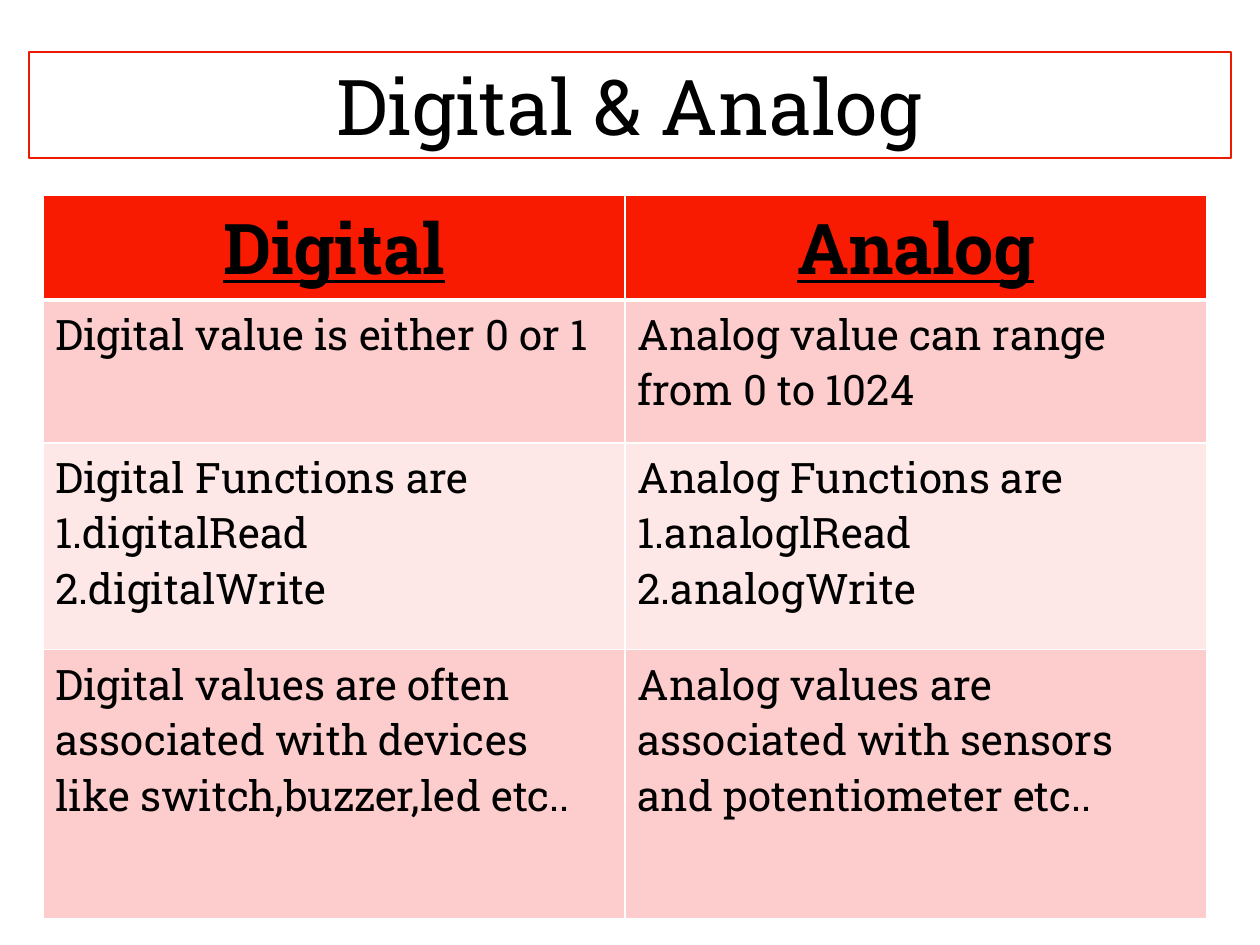
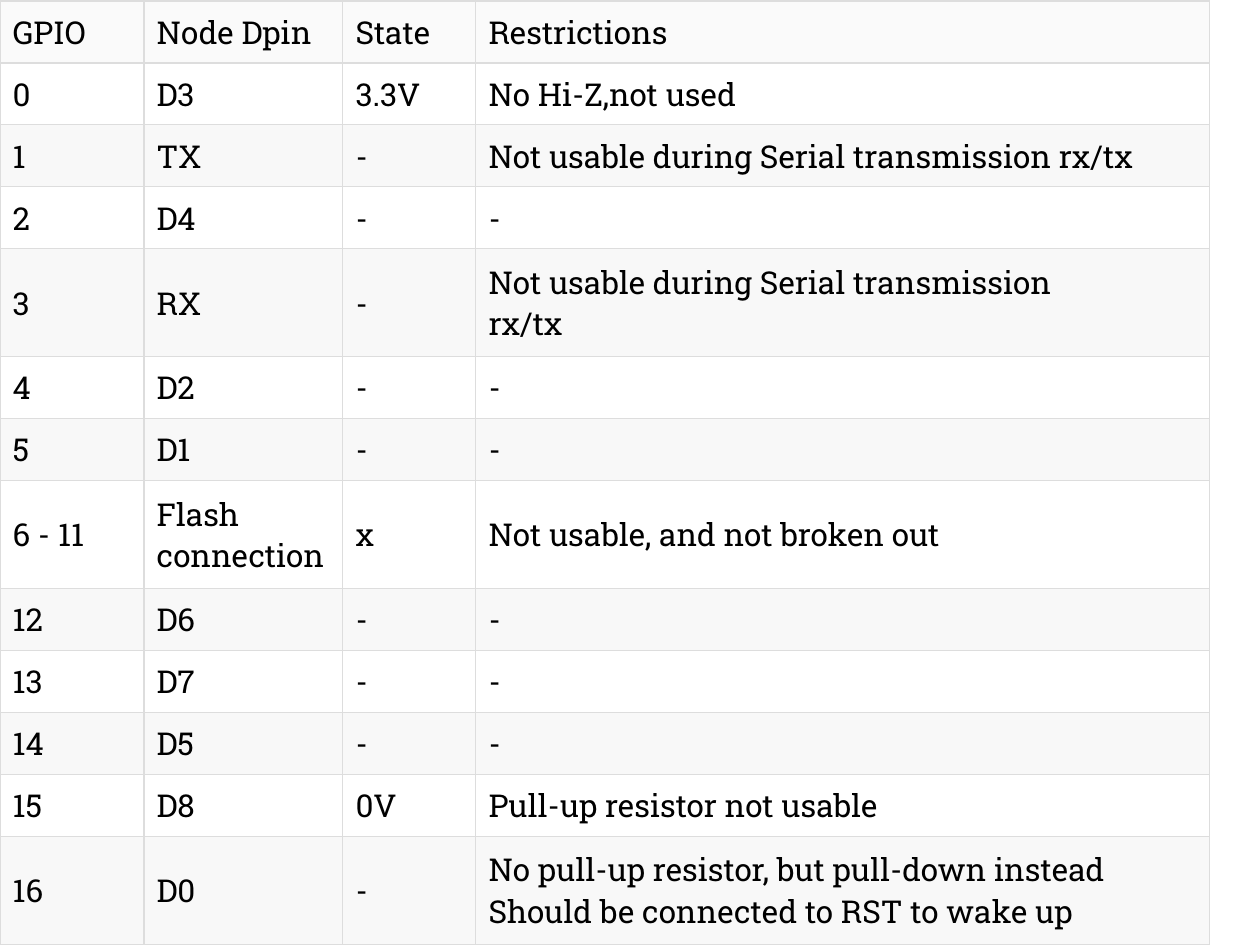
from lxml import etree
from pptx import Presentation
from pptx import util as u
from pptx.dml.color import RGBColor
from pptx.enum import shapes, text
from pptx.oxml import ns

PX = 914400 / 126
FONT = "Roboto Slab"
COLORS = {
    "ink": "000000", "paper": "FFFFFF", "outline": "ED1A02",
    "header": "F81B02", "rose": "FCCDCC", "blush": "FEE8E7",
    "grid": "DDDDDD", "heading": "FAFAFA", "stripe": "F8F8F8",
}


def write(frame, content, size, align=text.PP_ALIGN.LEFT, bold=False):
    """Put each line in a paragraph; a vertical tab marks a line break."""
    for index, line in enumerate(content.split("\n")):
        paragraph = frame.paragraphs[0] if index == 0 else frame.add_paragraph()
        paragraph.alignment = align
        for part_index, part in enumerate(line.split("\v")):
            if part_index:
                paragraph.add_line_break()
            run = paragraph.add_run()
            run.text = part
            run.font.name = FONT
            run.font.size = u.Pt(size)
            run.font.bold = run.font.underline = bold
            run.font.color.rgb = RGBColor.from_string(COLORS["ink"])


def add_grid(slide, left, top, widths, heights, border, header_line, line):
    """Add an unstyled table with ruled cells."""
    table = slide.shapes.add_table(
        len(heights), len(widths), round(left * PX), round(top * PX),
        round(sum(widths) * PX), round(sum(heights) * PX)).table
    table.first_row = table.horz_banding = False
    for column, width in zip(table.columns, widths):
        column.width = round(width * PX)
    for row_index, height in enumerate(heights):
        table.rows[row_index].height = round(height * PX)
        for cell in table.rows[row_index].cells:
            properties = cell._tc.get_or_add_tcPr()
            above = header_line if row_index == 1 else line
            below = header_line if row_index == 0 else line
            for side, points in zip("LRTB", (line, line, above, below)):
                edge = etree.SubElement(properties, ns.qn(f"a:ln{side}"),
                                        w=str(int(u.Pt(points))))
                fill = etree.SubElement(edge, ns.qn("a:solidFill"))
                etree.SubElement(fill, ns.qn("a:srgbClr"), val=COLORS[border])
    return table


presentation = Presentation()
presentation.slide_width = round(1260 * PX)
presentation.slide_height = round(945 * PX)
blank = presentation.slide_layouts[6]

# Slide 1: title box
slide = presentation.slides.add_slide(blank)
title = slide.shapes.add_shape(
    shapes.MSO_SHAPE.RECTANGLE,
    *(round(length * PX) for length in (29, 52, 1202, 106)))
title.shadow.inherit = False
title.fill.solid()
title.fill.fore_color.rgb = RGBColor.from_string(COLORS["paper"])
title.line.color.rgb = RGBColor.from_string(COLORS["outline"])
title.line.width = u.Pt(1.25)
title.text_frame.word_wrap = True
title.text_frame.vertical_anchor = text.MSO_ANCHOR.MIDDLE
write(title.text_frame, "Digital & Analog", 44, text.PP_ALIGN.CENTER)

# Slide 1: comparison table
comparison = [
    ("Digital", "Analog"),
    ("Digital value is either 0 or 1", "Analog value can range from 0 to 1024"),
    ("Digital Functions are\n1.digitalRead\n2.digitalWrite",
     "Analog Functions are\n1.analoglRead\n2.analogWrite"),
    ("Digital values are often associated with devices like switch,buzzer,led etc..",
     "Analog values are associated with sensors and potentiometer etc.."),
]
row_fills = ["header", "rose", "blush", "rose"]
table = add_grid(slide, 43, 195, [582, 582], [79, 143, 207, 269], "paper", 3, 1)
for row_index, (row, fill) in enumerate(zip(comparison, row_fills)):
    for column_index, content in enumerate(row):
        cell = table.cell(row_index, column_index)
        cell.fill.solid()
        cell.fill.fore_color.rgb = RGBColor.from_string(COLORS[fill])
        if row_index == 0:
            write(cell.text_frame, content, 40, text.PP_ALIGN.CENTER, bold=True)
        else:
            write(cell.text_frame, content, 24)

# Slide 2: pin table, with taller rows where a cell takes two lines
slide = presentation.slides.add_slide(blank)
pins = [
    ("GPIO", "Node Dpin", "State", "Restrictions"),
    ("0", "D3", "3.3V", "No Hi-Z,not used"),
    ("1", "TX", "-", "Not usable during Serial transmission rx/tx"),
    ("2", "D4", "-", "-"),
    ("3", "RX", "-", "Not usable during Serial transmission\nrx/tx"),
    ("4", "D2", "-", "-"),
    ("5", "D1", "-", "-"),
    ("6 - 11", "Flash connection", "x", "Not usable, and not broken out"),
    ("12", "D6", "-", "-"),
    ("13", "D7", "-", "-"),
    ("14", "D5", "-", "-"),
    ("15", "D8", "0V", "Pull-up resistor not usable"),
    ("16", "D0", "-", "No pull-up resistor, but pull-down instead\v"
                      "Should be connected to RST to wake up"),
]
tall_pins = {"3", "6 - 11", "16"}
heights = [108 if row[0] in tall_pins else 62 for row in pins]
table = add_grid(slide, 0, 1, [144, 199, 133, 734], heights, "grid", 0.75, 0.75)
for row_index, row in enumerate(pins):
    for column_index, content in enumerate(row):
        cell = table.cell(row_index, column_index)
        cell.vertical_anchor = text.MSO_ANCHOR.MIDDLE
        if row_index % 2:
            cell.fill.background()
        else:
            cell.fill.solid()
            cell.fill.fore_color.rgb = RGBColor.from_string(
                COLORS["stripe" if row_index else "heading"])
        write(cell.text_frame, content, 18)

presentation.save("out.pptx")
